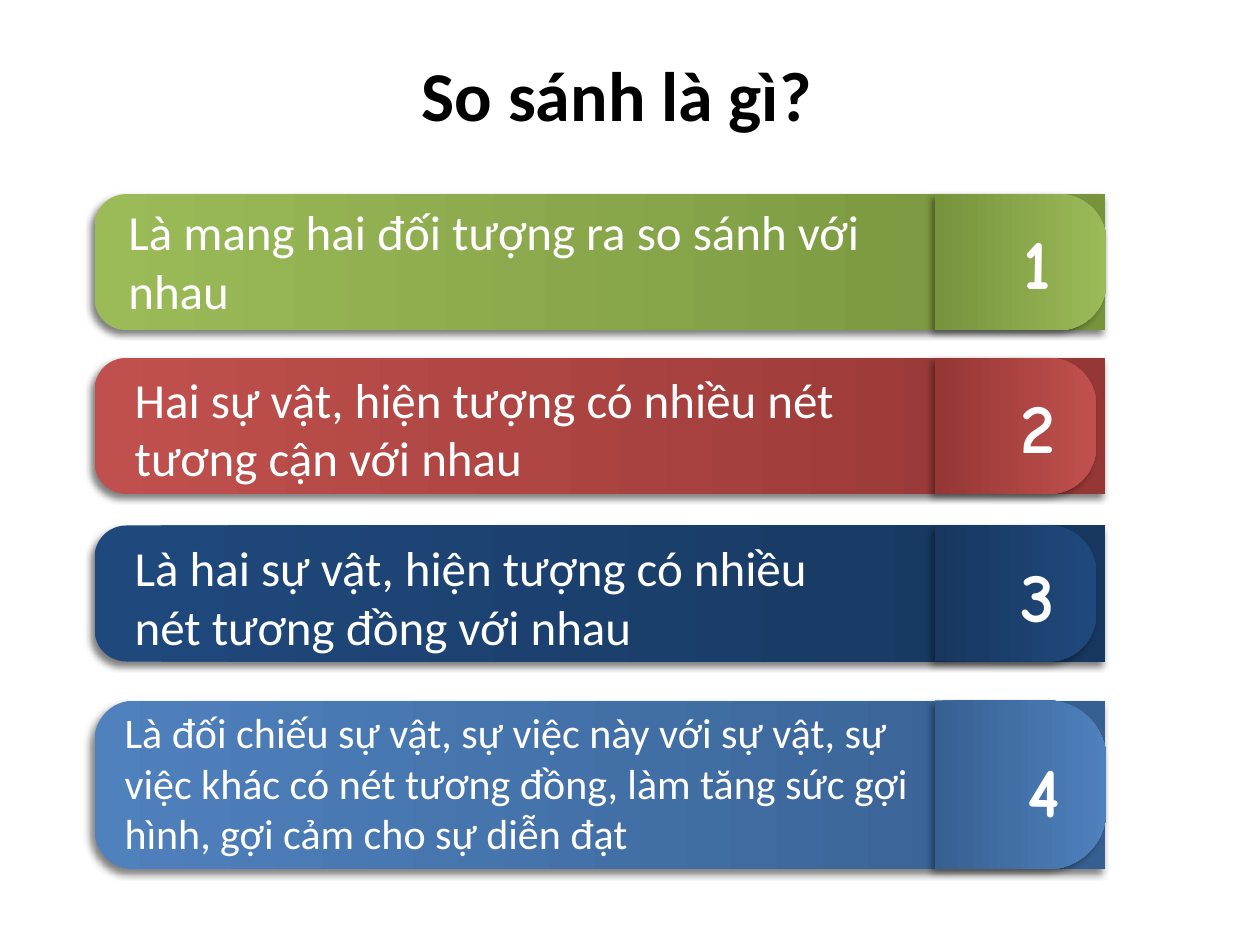
from lxml.etree import SubElement
from pptx import Presentation
from pptx.dml.color import RGBColor
from pptx.enum.shapes import MSO_SHAPE
from pptx.enum.text import MSO_ANCHOR, MSO_AUTO_SIZE, PP_ALIGN
from pptx.oxml.ns import qn
from pptx.util import Inches, Pt

TITLE = "So sánh là gì?"
BAR_LEFT, BAR_WIDTH, BADGE_LEFT = 0.75, 8.02, 7.42

# Bars: top, height, badge width, light colour, dark colour
# Answers: left, top, width, height, size, text
# Numbers: left, top, width
ROWS = [
    {"bar": (1.54, 1.08, 1.36, "9BBB59", "77933C"),
     "answer": (0.92, 1.55, 6.55, 1.04, 28,
                "Là mang hai đối tượng ra so sánh với nhau"),
     "number": (7.85, 1.69, 0.77)},
    {"bar": (2.84, 1.08, 1.28, "C0504D", "953735"),
     "answer": (0.97, 2.88, 6.61, 1.04, 28,
                "Hai sự vật, hiện tượng có nhiều nét tương cận với nhau"),
     "number": (7.85, 2.99, 0.77)},
    {"bar": (4.17, 1.08, 1.28, "1F497D", "17375E"),
     "answer": (0.97, 4.22, 5.89, 1.04, 28,
                "Là hai sự vật, hiện tượng có nhiều nét tương đồng với nhau"),
     "number": (7.85, 4.33, 0.77)},
    {"bar": (5.56, 1.34, 1.36, "4F81BD", "376092"),
     "answer": (0.89, 5.56, 6.61, 1.31, 24,
                "Là đối chiếu sự vật, sự việc này với sự vật, sự việc khác có "
                "nét tương đồng, làm tăng sức gợi hình, gợi cảm cho sự diễn đạt"),
     "number": (7.84, 5.88, 0.89)},
]


def rgb(value):
    return RGBColor.from_string(value)


def add_shadow(shape, opacity):
    shape.shadow.inherit = False
    effects = shape._element.spPr.find(qn("a:effectLst"))
    shadow = SubElement(effects, qn("a:outerShdw"), blurRad=str(Pt(4)),
                        dist=str(Pt(3)), dir="8100000", algn="ctr",
                        rotWithShape="0")
    black = SubElement(shadow, qn("a:srgbClr"), val="000000")
    SubElement(black, qn("a:alpha"), val=str(opacity * 1000))


def add_tab(slide, left, top, width, height, rotation, rounding, colours,
            angle, last_stop, opacity):
    """Add a two-corner rounded bar turned sideways; the box is as seen."""
    tab = slide.shapes.add_shape(
        MSO_SHAPE.ROUND_2_SAME_RECTANGLE,
        Inches(left + (width - height) / 2), Inches(top + (height - width) / 2),
        Inches(height), Inches(width))
    tab.rotation = rotation
    tab.adjustments[0] = rounding
    tab.adjustments[1] = 0
    tab.fill.gradient()
    tab.fill.gradient_angle = angle
    for stop, colour, position in zip(tab.fill.gradient_stops, colours,
                                      (0, last_stop)):
        stop.color.rgb = rgb(colour)
        stop.position = position
    tab.line.fill.background()
    add_shadow(tab, opacity)


def write(shape, text, size, font, colour, bold=False, align=PP_ALIGN.LEFT,
          anchor=MSO_ANCHOR.TOP, wrap=True):
    frame = shape.text_frame
    frame.text = text
    frame.word_wrap = wrap
    frame.auto_size = MSO_AUTO_SIZE.SHAPE_TO_FIT_TEXT
    frame.vertical_anchor = anchor
    paragraph = frame.paragraphs[0]
    paragraph.alignment = align
    style = paragraph.runs[0].font
    style.size, style.name, style.bold = Pt(size), font, bold
    style.color.rgb = rgb(colour)


def add_text_box(slide, *box):
    return slide.shapes.add_textbox(*map(Inches, box))


def main():
    deck = Presentation()
    deck.slide_width, deck.slide_height = Inches(10), Inches(7.5)
    slide = deck.slides.add_slide(deck.slide_layouts[5])

    title = slide.shapes.title
    title.left, title.top = Inches(3.23), Inches(0.36)
    title.width, title.height = Inches(3.33), Inches(0.77)
    write(title, TITLE, 40, "Calibri", "000000", True, PP_ALIGN.CENTER,
          MSO_ANCHOR.MIDDLE, wrap=False)

    for number, row in enumerate(ROWS, start=1):
        top, height, badge_width, light, dark = row["bar"]
        add_tab(slide, BAR_LEFT, top, BAR_WIDTH, height, 270, 0.233,
                (light, dark), 270, 0.99, 50)
        add_tab(slide, BADGE_LEFT, top, badge_width, height, 90, 0.347,
                (dark, light), 90, 1, 40)

        write(add_text_box(slide, *row["number"], 0.77), str(number), 40,
              "Comic Neue", "FFFFFF", True, PP_ALIGN.CENTER, MSO_ANCHOR.MIDDLE)
        *box, size, answer = row["answer"]
        write(add_text_box(slide, *box), answer, size, "Calibri", "FFFFFF")

    deck.save("out.pptx")


if __name__ == "__main__":
    main()
